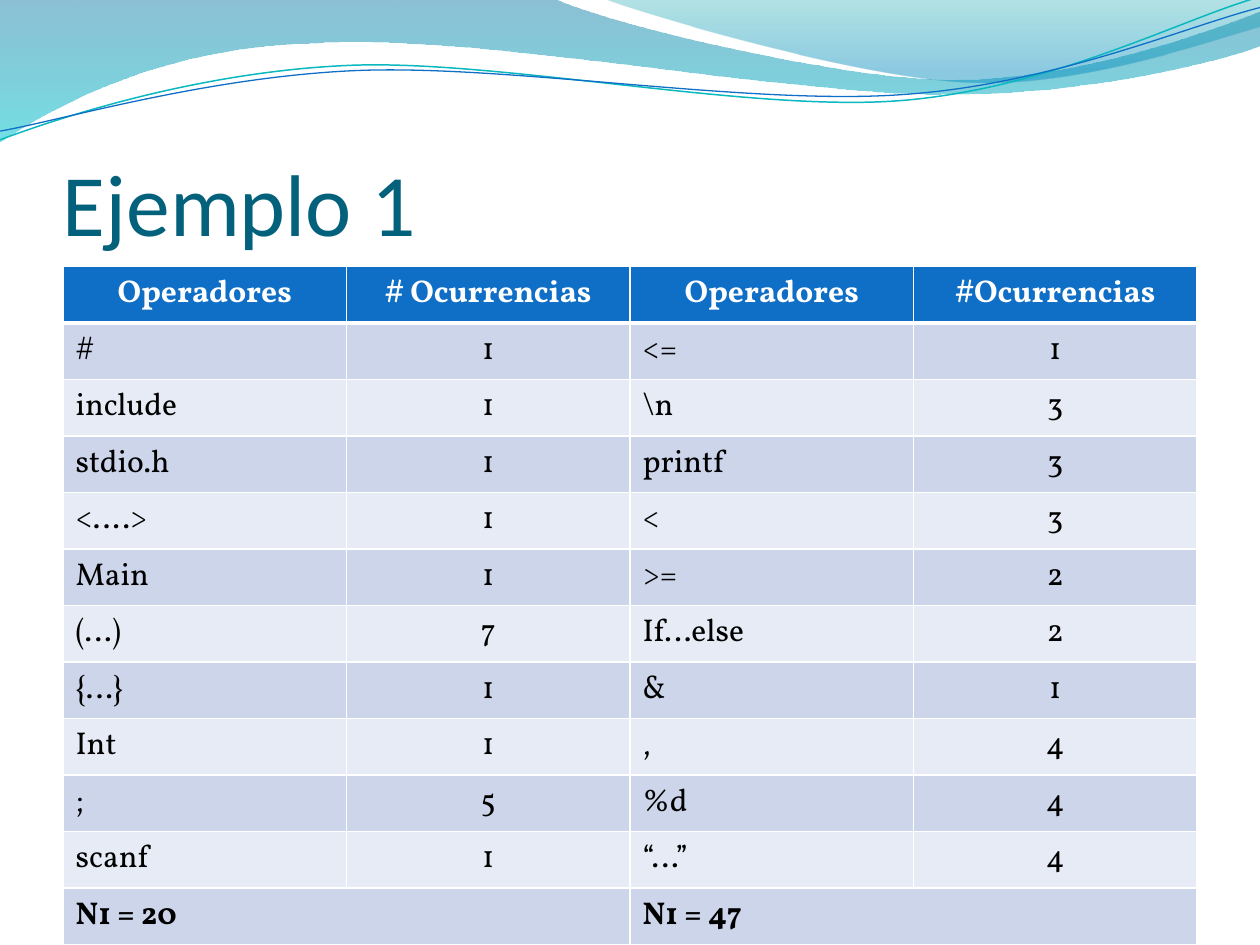
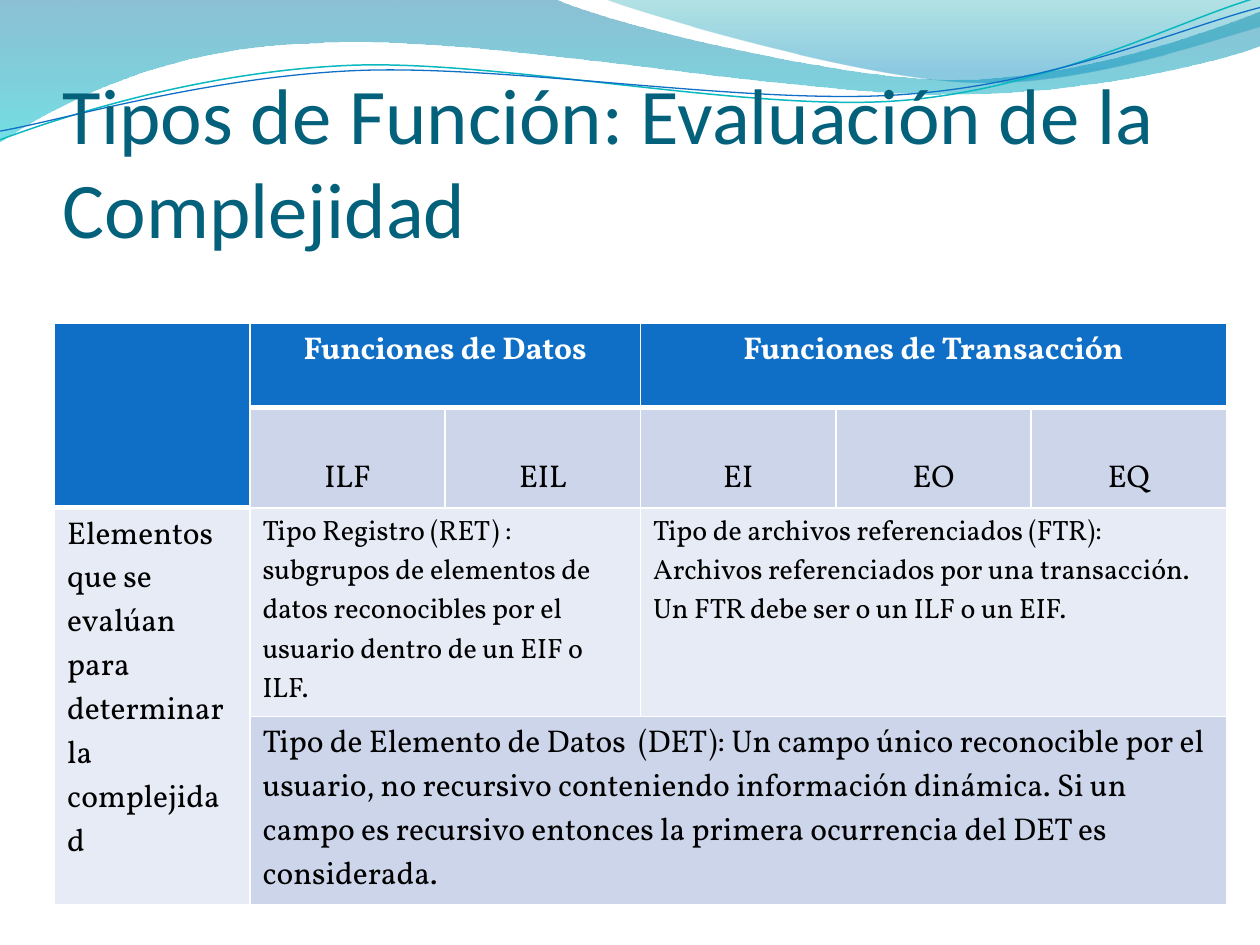
from dataclasses import dataclass
from typing import NamedTuple

from lxml import etree
from pptx import Presentation
from pptx import util as u
from pptx.dml.color import RGBColor
from pptx.enum import text
from pptx.oxml import ns

Pt = u.Pt
CENTER, LEFT = text.PP_ALIGN.CENTER, text.PP_ALIGN.LEFT


@dataclass(frozen=True)
class Theme:
    title: str = "04617B"
    header: str = "0F6FC6"
    odd_row: str = "CCD5EA"
    even_row: str = "E7EBF5"
    white: str = "FFFFFF"
    ink: str = "000000"
    title_font: str = "Calibri"
    body_font: str = "Vollkorn"
    title_size: float = 50
    long_title_size: float = 45
    body_size: float = 18
    small_size: float = 16
    rule: float = 1
    header_rule: float = 3


THEME = Theme()


class Stop(NamedTuple):
    position: int
    color: str
    opacity: int


@dataclass(frozen=True)
class Wave:
    """An outline whose segments hold one point (line) or three (Bezier curve)."""
    start: tuple
    segments: tuple
    stops: tuple = ()
    color: str = ""
    width: float = 0


@dataclass(frozen=True)
class Cell:
    row: int
    col: int
    words: str
    rows: int = 1
    cols: int = 1
    align: text.PP_ALIGN = LEFT
    size: float = THEME.body_size
    bold: bool = False
    anchor: text.MSO_ANCHOR = text.MSO_ANCHOR.TOP


@dataclass(frozen=True)
class Grid:
    left: float
    top: float
    col_width: float
    col_count: int
    row_heights: tuple
    cells: tuple


WAVES = (
    Wave((0, 0), (
        ((316.8, -0.7),),
        ((342.7, 12.2), (478.1, 45.4), (545.8, 45.4)),
        ((614.2, 45.4), (689.8, 18.7), (720, 6.5)),
        ((720.7, 25.9),),
        ((707.8, 31.7), (626.4, 54.7), (537.1, 54)),
        ((447.8, 54), (275, 20.2), (185, 24.5)),
        ((92.9, 25.9), (33.1, 59.8), (-0.7, 81.4)),
    ), stops=(Stop(0, "0074A1", 45), Stop(100, "00C6CF", 55))),
    Wave((344.9, -0.7), (
        ((366.5, 7.9), (491, 44.6), (553.7, 46.8)),
        ((616.3, 49.7), (691.9, 23), (720, 15.1)),
        ((720, 0),),
    ), stops=(Stop(0, "00A1A9", 30), Stop(80, "008BBF", 45))),
    Wave((0, 79.9), (
        ((34.6, 67), (113.8, 41), (199.4, 37.4)),
        ((284.4, 33.8), (427, 64.1), (513.4, 57.6)),
        ((599.8, 51.1), (675.4, 10.8), (718.6, -1.4)),
    ), color="0AB8BF", width=0.85),
    Wave((0, 74.9), (
        ((33.8, 69.1), (118.1, 43.9), (203.8, 40.3)),
        ((290.2, 36.7), (429.8, 60.5), (516.2, 54)),
        ((601.9, 48.2), (677.5, 15.1), (720, 4.3)),
    ), color="0F6FC6", width=0.75),
)


def rgb(color: str) -> RGBColor:
    return RGBColor.from_string(color)


def add_element(parent, tag: str, **attributes):
    element = etree.SubElement(parent, ns.qn(tag))
    for key, value in attributes.items():
        element.set(key, str(value))
    return element


def bend(shape, segments: tuple) -> None:
    """Join the straight pieces of each three-point segment into one Bezier curve."""
    pieces = iter(list(shape._element.spPr.iter(ns.qn("a:lnTo"))))
    for segment in segments:
        group = [next(pieces) for _ in segment]
        if len(group) == 3:
            curve = etree.Element(ns.qn("a:cubicBezTo"))
            group[0].addprevious(curve)
            for piece in group:
                curve.append(piece[0])
                piece.getparent().remove(piece)


def fill_gradient(shape, stops: tuple) -> None:
    """Fill from top to bottom with translucent colours."""
    shape.fill.background()
    properties = shape._element.spPr
    gradient = etree.Element(ns.qn("a:gradFill"), rotWithShape="1")
    stop_list = add_element(gradient, "a:gsLst")
    for stop in stops:
        place = add_element(stop_list, "a:gs", pos=stop.position * 1000)
        color = add_element(place, "a:srgbClr", val=stop.color)
        add_element(color, "a:alpha", val=stop.opacity * 1000)
    add_element(gradient, "a:lin", ang=5400000, scaled=0)
    properties.replace(properties.find(ns.qn("a:noFill")), gradient)


def draw_wave(slide, wave: Wave) -> None:
    builder = slide.shapes.build_freeform(Pt(wave.start[0]), Pt(wave.start[1]))
    builder.add_line_segments([(Pt(x), Pt(y)) for segment in wave.segments for x, y in segment],
                              close=bool(wave.stops))
    shape = builder.convert_to_shape()
    bend(shape, wave.segments)
    shape.shadow.inherit = False
    if wave.stops:
        fill_gradient(shape, wave.stops)
        shape.line.fill.background()
    else:
        shape.fill.background()
        shape.line.color.rgb = rgb(wave.color)
        shape.line.width = Pt(wave.width)


def style_runs(paragraph, font: str, size: float, color: str, bold: bool = False) -> None:
    for run in paragraph.runs:
        run.font.name, run.font.size, run.font.bold = font, Pt(size), bold
        run.font.color.rgb = rgb(color)


def draw_title(slide, words: str, size: float) -> None:
    frame = slide.shapes.add_textbox(Pt(36), Pt(55.4), Pt(648), Pt(90)).text_frame
    frame.word_wrap = True
    frame.vertical_anchor = text.MSO_ANCHOR.BOTTOM
    frame.margin_left = frame.margin_right = frame.margin_bottom = 0
    frame.margin_top = Pt(3.6)
    frame.text = words
    style_runs(frame.paragraphs[0], THEME.title_font, size, THEME.title)


def set_borders(cell, sides: str, bottom: float) -> None:
    properties = cell._tc.get_or_add_tcPr()
    for side in sides:
        width = bottom if side == "B" else THEME.rule
        line = add_element(properties, f"a:ln{side}", w=Pt(width))
        add_element(add_element(line, "a:solidFill"), "a:srgbClr", val=THEME.white)


def draw_cell(table, spec: Cell) -> None:
    is_header = spec.row == 0
    band = THEME.odd_row if spec.row % 2 else THEME.even_row
    for row in range(spec.row, spec.row + spec.rows):
        for col in range(spec.col, spec.col + spec.cols):
            part = table.cell(row, col)
            set_borders(part, "LRTB" if row == 0 else "LRB",
                        THEME.header_rule if is_header else THEME.rule)
            part.fill.solid()
            part.fill.fore_color.rgb = rgb(THEME.header if is_header else band)
    cell = table.cell(spec.row, spec.col)
    if spec.rows * spec.cols > 1:
        cell.merge(table.cell(spec.row + spec.rows - 1, spec.col + spec.cols - 1))
    cell.vertical_anchor = spec.anchor
    cell.text_frame.text = spec.words
    paragraph = cell.text_frame.paragraphs[0]
    paragraph.alignment = spec.align
    style_runs(paragraph, THEME.body_font, spec.size,
               THEME.white if is_header else THEME.ink, is_header or spec.bold)


def draw_grid(slide, grid: Grid) -> None:
    table = slide.shapes.add_table(
        len(grid.row_heights), grid.col_count, Pt(grid.left), Pt(grid.top),
        Pt(grid.col_width * grid.col_count), Pt(sum(grid.row_heights))).table
    table.first_row = table.horz_banding = False
    for column in table.columns:
        column.width = Pt(grid.col_width)
    for row, height in zip(table.rows, grid.row_heights):
        row.height = Pt(height)
    for spec in grid.cells:
        draw_cell(table, spec)


def operator_grid() -> Grid:
    rows = (
        ("Operadores", "# Ocurrencias", "Operadores", "#Ocurrencias"),
        ("#", "1", "<=", "1"),
        ("include", "1", "\\n", "3"),
        ("stdio.h", "1", "printf", "3"),
        ("<….>", "1", "<", "3"),
        ("Main", "1", ">=", "2"),
        ("(…)", "7", "If…else", "2"),
        ("{…}", "1", "&", "1"),
        ("Int", "1", ",", "4"),
        (";", "5", "%d", "4"),
        ("scanf", "1", "“…”", "4"),
    )
    counts = [Cell(r, c, words, align=CENTER if r == 0 or c % 2 else LEFT)
              for r, row in enumerate(rows) for c, words in enumerate(row)]
    totals = [Cell(len(rows), col, words, cols=2, bold=True)
              for col, words in ((0, "N1 = 20"), (2, "N1 = 47"))]
    return Grid(36, 152.3, 162, 4, (32.3,) * (len(rows) + 1), (*counts, *totals))


def complexity_grid() -> Grid:
    functions = [Cell(1, col, words, align=CENTER, anchor=text.MSO_ANCHOR.BOTTOM)
                 for col, words in enumerate(("ILF", "EIL", "EI", "EO", "EQ"), start=1)]
    return Grid(31.2, 184.8, 111.6, 6, (48.2, 57.2, 119.2, 107.4), (
        Cell(0, 0, "", rows=2),
        Cell(0, 1, "Funciones de Datos", cols=2, align=CENTER),
        Cell(0, 3, "Funciones de Transacción", cols=3, align=CENTER),
        *functions,
        Cell(2, 0, "Elementos que se evalúan para determinar la complejidad", rows=2),
        Cell(2, 1, "Tipo Registro (RET) : subgrupos de elementos de datos reconocibles "
             "por el usuario dentro de un EIF o ILF.", cols=2, size=THEME.small_size),
        Cell(2, 3, "Tipo de archivos referenciados (FTR): Archivos referenciados por una "
             "transacción. Un FTR debe ser o un ILF o un EIF.", cols=3, size=THEME.small_size),
        Cell(3, 1, "Tipo de Elemento de Datos  (DET): Un campo único reconocible por el "
             "usuario, no recursivo conteniendo información dinámica. Si un campo es "
             "recursivo entonces la primera ocurrencia del DET es considerada.", cols=5),
    ))


def add_slide(deck, title: str, title_size: float, grid: Grid) -> None:
    slide = deck.slides.add_slide(deck.slide_layouts[6])
    for wave in WAVES:
        draw_wave(slide, wave)
    draw_title(slide, title, title_size)
    draw_grid(slide, grid)


def main() -> None:
    deck = Presentation()
    deck.slide_width, deck.slide_height = Pt(720), Pt(540)
    add_slide(deck, "Ejemplo 1", THEME.title_size, operator_grid())
    add_slide(deck, "Tipos de Función: Evaluación de la Complejidad",
              THEME.long_title_size, complexity_grid())
    deck.save("out.pptx")


if __name__ == "__main__":
    main()
